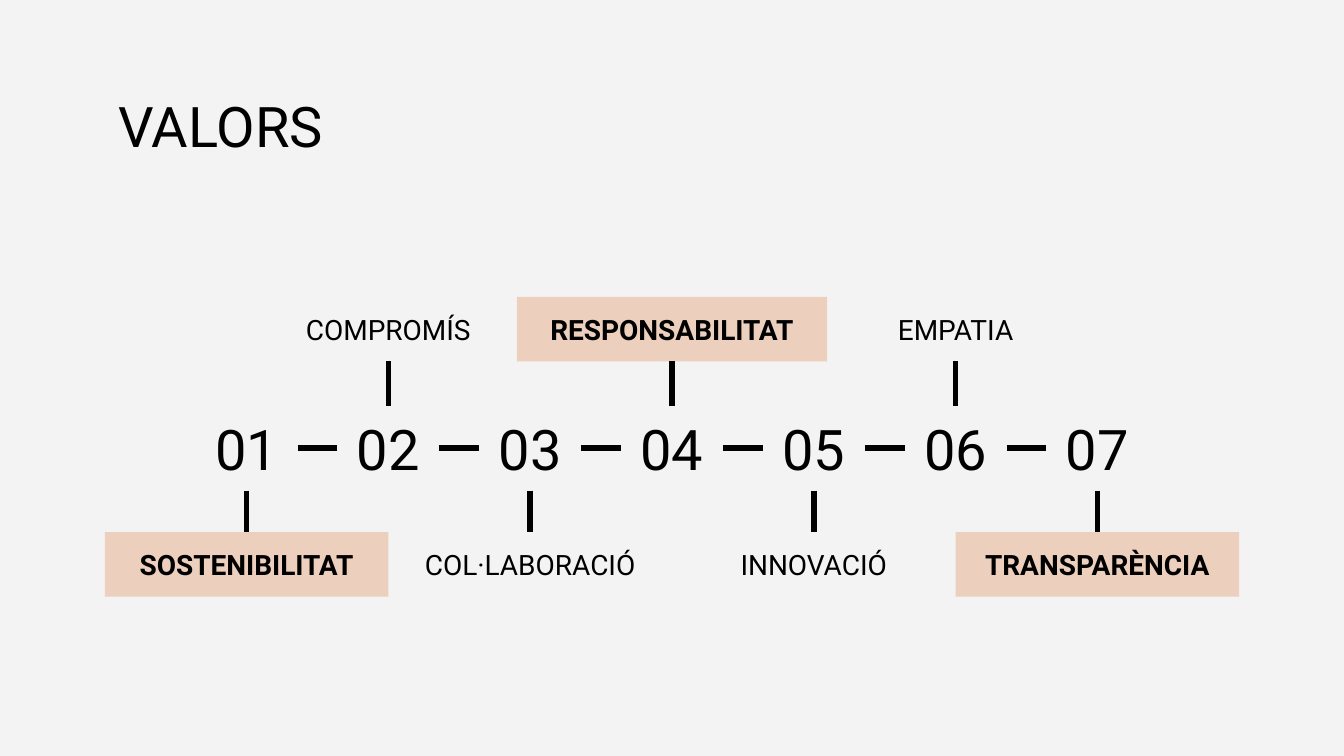
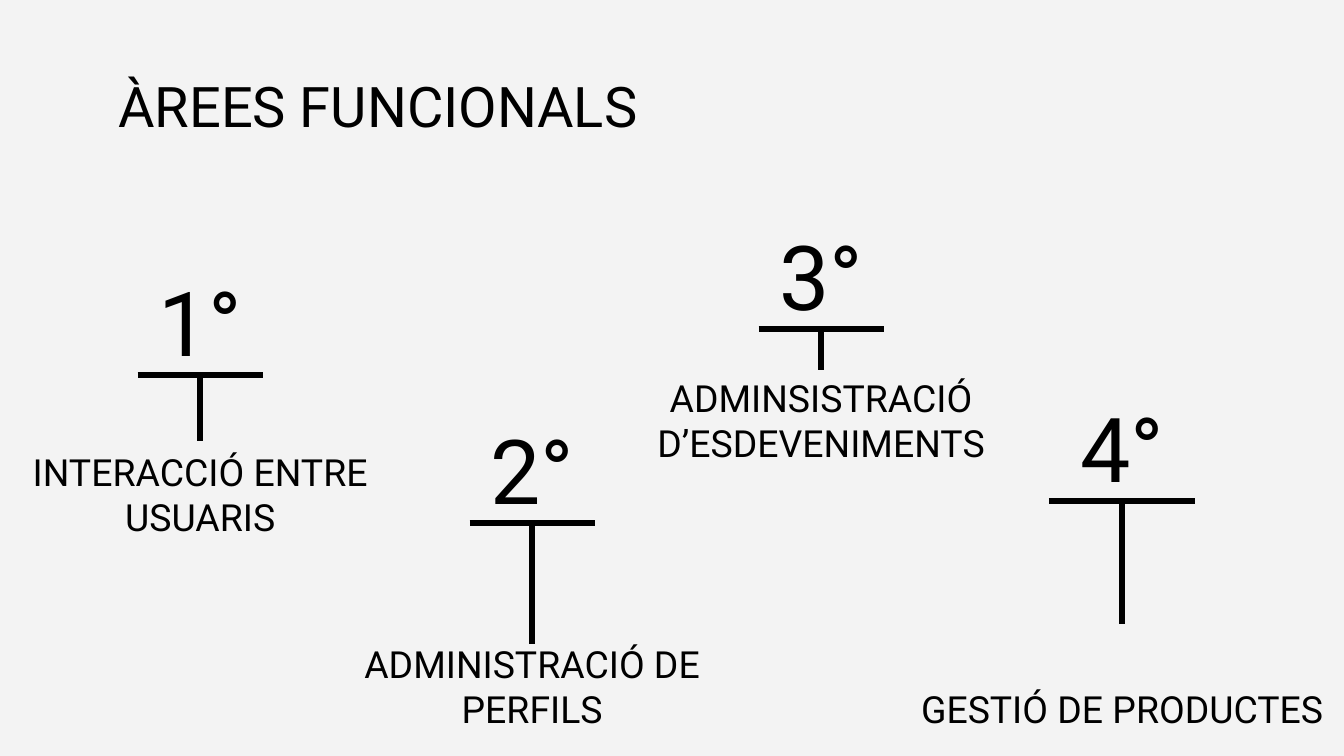
from dataclasses import dataclass
from itertools import pairwise

import pptx
import pptx.dml.color
import pptx.enum.shapes
import pptx.enum.text
import pptx.oxml.ns
import pptx.presentation
import pptx.shapes.autoshape
import pptx.shapes.connector
import pptx.slide
import pptx.text.text
import pptx.util
from lxml import etree
from pptx.util import Inches

ALIGN = pptx.enum.text.PP_ALIGN
ANCHOR = pptx.enum.text.MSO_ANCHOR
TOP, LEFT, BOTTOM, RIGHT = range(4)


@dataclass(frozen=True)
class Theme:
    font: str = "Roboto"
    background: str = "F3F3F3"
    ink: str = "000000"
    highlight: str = "ECCFBC"
    heading_size: int = 30
    value_size: int = 15
    ordinal_size: int = 48
    area_size: int = 20
    line_width: int = 3
    inset: float = 0.1


@dataclass(frozen=True)
class Box:
    left: float
    top: float
    width: float
    height: float

    def lengths(self) -> tuple[pptx.util.Length, ...]:
        return tuple(Inches(v) for v in (self.left, self.top, self.width, self.height))


@dataclass(frozen=True)
class Value:
    name: str
    highlighted: bool = False
    width: float = 2.11


@dataclass(frozen=True)
class Area:
    name: str
    centre: float
    ordinal_top: float
    label_top: float
    label_height: float
    label_width: float = 2.81
    rule_width: float = 0.93
    loose_stem_end: float | None = None  # set when the stem stops short of the label


THEME = Theme()

VALUES = [
    Value("SOSTENIBILITAT", True),
    Value("COMPROMÍS"),
    Value("COL·LABORACIÓ"),
    Value("RESPONSABILITAT", True, 2.31),
    Value("INNOVACIÓ"),
    Value("EMPATIA"),
    Value("TRANSPARÈNCIA", True),
]
SLIDE_CENTRE = 5
VALUE_PITCH = Value.width / 2
NUMBER_TOP, NUMBER_WIDTH, NUMBER_HEIGHT = 3.02, 0.76, 0.63
UPPER_TOP, LOWER_TOP, VALUE_HEIGHT = 2.21, 3.96, 0.48

AREAS = [
    Area("INTERACCIÓ ENTRE USUARIS", 1.49, 1.98, 3.59, 0.52, loose_stem_end=3.28),
    Area("ADMINISTRACIÓ DE PERFILS", 3.96, 3.08, 4.79, 0.75),
    Area("ADMINSISTRACIÓ D’ESDEVENIMENTS", 6.11, 1.64, 2.75, 0.81, 3.14),
    Area("GESTIÓ DE PRODUCTES", 8.35, 2.92, 4.64, 0.9, 3.31, 1.09),
]
ORDINAL_WIDTH, ORDINAL_HEIGHT = 2.81, 0.81


def rgb(colour: str) -> pptx.dml.color.RGBColor:
    return pptx.dml.color.RGBColor.from_string(colour)


def write(frame: pptx.text.text.TextFrame, text: str, size: int,
          align: ALIGN = ALIGN.CENTER, anchor: ANCHOR = ANCHOR.MIDDLE,
          bold: bool = False) -> None:
    frame.text = text
    frame.word_wrap = True
    frame.auto_size = pptx.enum.text.MSO_AUTO_SIZE.NONE
    frame.vertical_anchor = anchor
    frame.margin_left = frame.margin_right = Inches(THEME.inset)
    frame.margin_top = frame.margin_bottom = Inches(THEME.inset)
    frame.paragraphs[0].alignment = align
    font = frame.paragraphs[0].runs[0].font
    font.name = THEME.font
    font.size = pptx.util.Pt(size)
    font.bold = bold
    font.color.rgb = rgb(THEME.ink)


def add_label(slide: pptx.slide.Slide, box: Box, text: str, size: int,
              anchor: ANCHOR = ANCHOR.MIDDLE,
              highlighted: bool = False) -> pptx.shapes.autoshape.Shape:
    if highlighted:
        label = slide.shapes.add_shape(
            pptx.enum.shapes.MSO_SHAPE.RECTANGLE, *box.lengths())
        label.shadow.inherit = False
        label.fill.solid()
        label.fill.fore_color.rgb = rgb(THEME.highlight)
        label.line.fill.background()
    else:
        label = slide.shapes.add_textbox(*box.lengths())
    write(label.text_frame, text, size, anchor=anchor, bold=highlighted)
    return label


def add_line(slide: pptx.slide.Slide, x1: float = 0, y1: float = 0,
             x2: float = 0, y2: float = 0) -> pptx.shapes.connector.Connector:
    line = slide.shapes.add_connector(
        pptx.enum.shapes.MSO_CONNECTOR.STRAIGHT,
        Inches(x1), Inches(y1), Inches(x2), Inches(y2))
    line.line.color.rgb = rgb(THEME.ink)
    line.line.width = pptx.util.Pt(THEME.line_width)
    etree.SubElement(line._element.spPr, pptx.oxml.ns.qn("a:effectLst"))
    return line


def join(slide: pptx.slide.Slide, start: pptx.shapes.autoshape.Shape, start_side: int,
         end: pptx.shapes.autoshape.Shape, end_side: int) -> None:
    line = add_line(slide)
    line.begin_connect(start, start_side)
    line.end_connect(end, end_side)


def add_titled_slide(deck: pptx.presentation.Presentation, title: str,
                     top: float) -> pptx.slide.Slide:
    slide = deck.slides.add_slide(deck.slide_layouts.get_by_name("Title Only"))
    heading = slide.shapes.title
    heading.left, heading.top, heading.width, heading.height = Box(
        0.78, top, 8.44, 0.63).lengths()
    write(heading.text_frame, title, THEME.heading_size, ALIGN.LEFT, ANCHOR.TOP)
    return slide


def build_values(deck: pptx.presentation.Presentation) -> None:
    slide = add_titled_slide(deck, "VALORS", 0.58)
    middle = len(VALUES) // 2
    numbers = []
    for index, value in enumerate(VALUES):
        centre = SLIDE_CENTRE + (index - middle) * VALUE_PITCH
        number = add_label(
            slide, Box(centre - NUMBER_WIDTH / 2, NUMBER_TOP, NUMBER_WIDTH, NUMBER_HEIGHT),
            f"{index + 1:02}", THEME.heading_size)
        numbers.append(number)

        # Names alternate below and above the row of numbers
        above = index % 2 == 1
        name = add_label(
            slide, Box(centre - value.width / 2, UPPER_TOP if above else LOWER_TOP,
                       value.width, VALUE_HEIGHT),
            value.name, THEME.value_size, highlighted=value.highlighted)
        if above:
            join(slide, name, BOTTOM, number, TOP)
        else:
            join(slide, number, BOTTOM, name, TOP)

    # Dashes between neighbouring numbers
    for number, following in pairwise(numbers):
        join(slide, number, RIGHT, following, LEFT)


def build_areas(deck: pptx.presentation.Presentation) -> None:
    slide = add_titled_slide(deck, "ÀREES FUNCIONALS", 0.43)
    for position, area in enumerate(AREAS, start=1):
        ordinal = add_label(
            slide, Box(area.centre - ORDINAL_WIDTH / 2, area.ordinal_top,
                       ORDINAL_WIDTH, ORDINAL_HEIGHT),
            f"{position}°", THEME.ordinal_size)
        name = add_label(
            slide, Box(area.centre - area.label_width / 2, area.label_top,
                       area.label_width, area.label_height),
            area.name, THEME.area_size, ANCHOR.BOTTOM)

        # Rule under the ordinal and stem down to the name
        rule_y = area.ordinal_top + ORDINAL_HEIGHT
        half_rule = area.rule_width / 2
        add_line(slide, area.centre - half_rule, rule_y, area.centre + half_rule, rule_y)
        if area.loose_stem_end is None:
            join(slide, ordinal, BOTTOM, name, TOP)
        else:
            stem = add_line(slide, area.centre, rule_y, area.centre, area.loose_stem_end)
            stem.begin_connect(ordinal, BOTTOM)


def main() -> None:
    deck = pptx.Presentation()
    # Widescreen, 16 to 9
    deck.slide_width = Inches(10)
    deck.slide_height = Inches(10) * 9 // 16
    backdrop = deck.slide_master.background.fill
    backdrop.solid()
    backdrop.fore_color.rgb = rgb(THEME.background)
    build_values(deck)
    build_areas(deck)
    deck.save("out.pptx")


if __name__ == "__main__":
    main()
